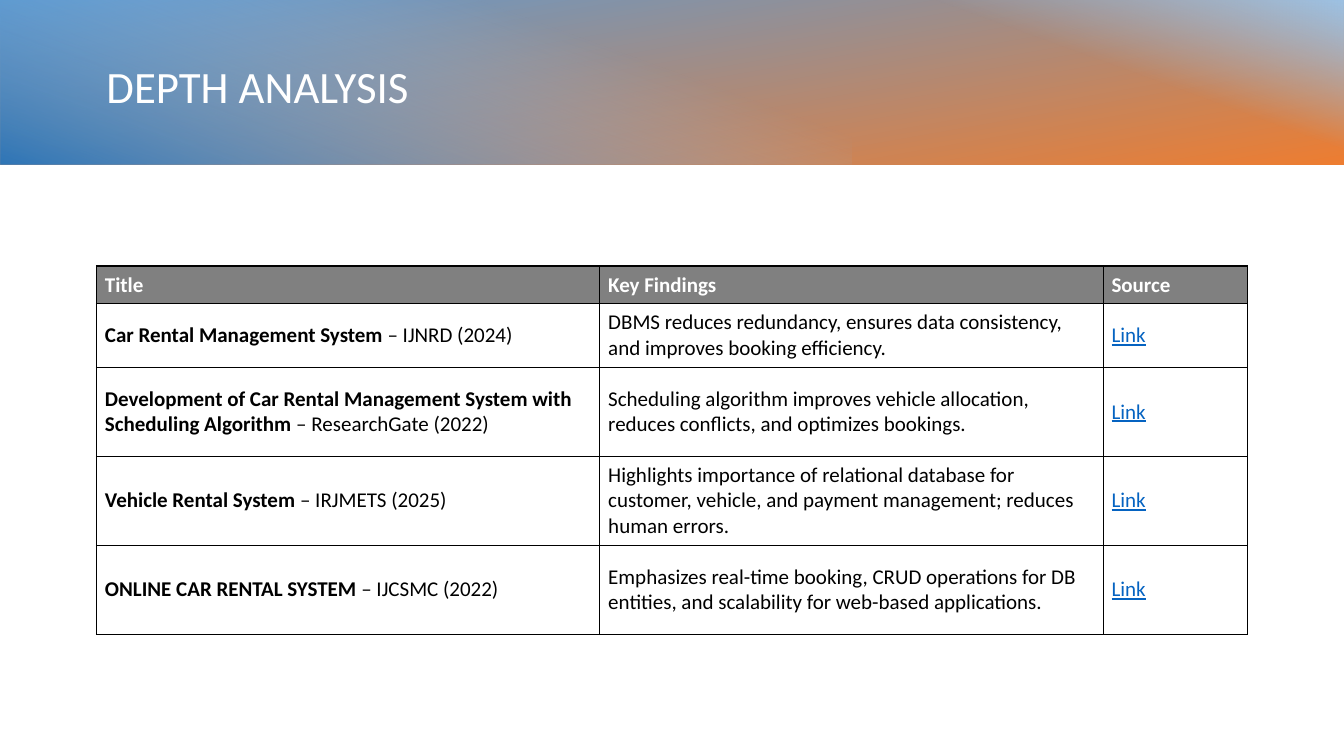
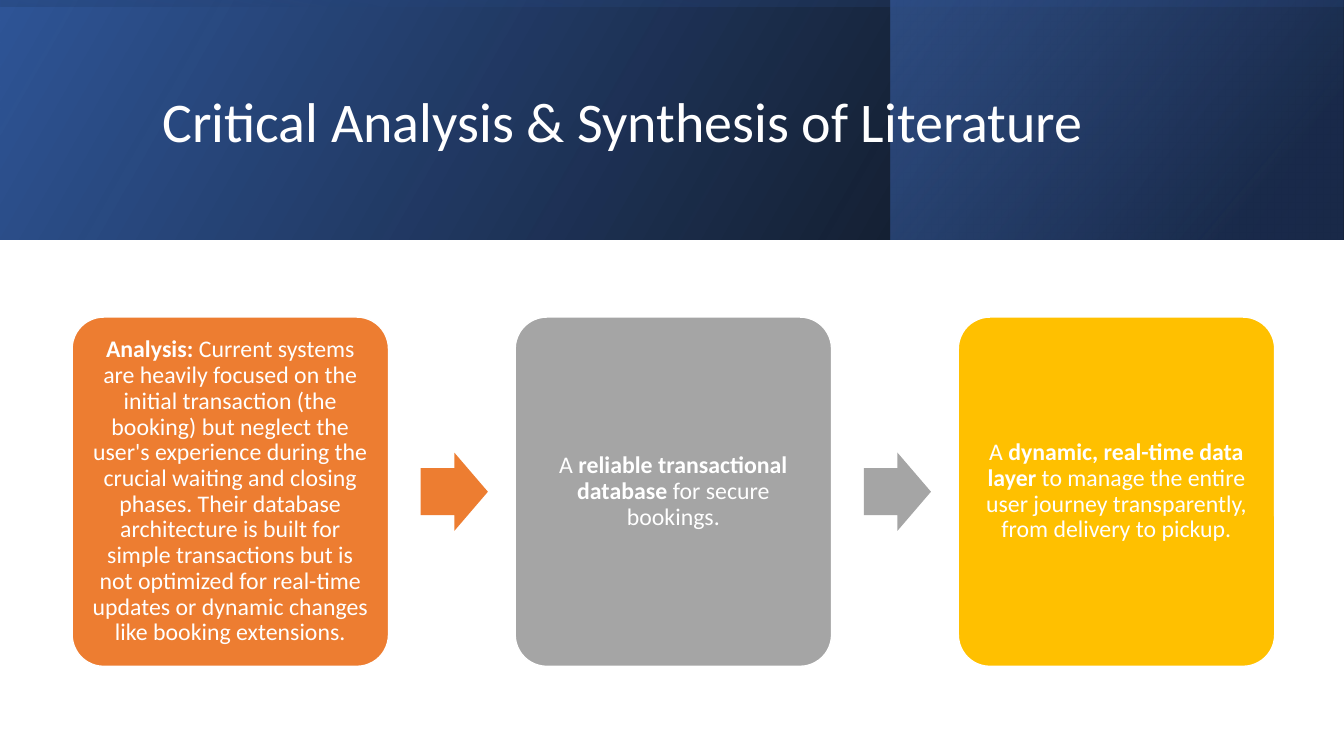
from collections import namedtuple
from dataclasses import dataclass

from lxml import etree
from pptx import Presentation
from pptx.dml.color import RGBColor
from pptx.enum.shapes import MSO_SHAPE
from pptx.enum.text import MSO_ANCHOR, PP_ALIGN
from pptx.oxml.ns import qn
from pptx.util import Pt

RECTANGLE = MSO_SHAPE.RECTANGLE
ROUNDED = MSO_SHAPE.ROUNDED_RECTANGLE
RIGHT_ARROW = MSO_SHAPE.RIGHT_ARROW
MIDDLE = MSO_ANCHOR.MIDDLE
LEFT, CENTER = PP_ALIGN.LEFT, PP_ALIGN.CENTER

Box = namedtuple("Box", "left top width height")
Stop = namedtuple("Stop", "position color alpha", defaults=[100])


@dataclass(frozen=True)
class Theme:
    font: str = "Calibri"
    white: str = "FFFFFF"
    black: str = "000000"
    link: str = "0563C1"
    header: str = "808080"
    blue: str = "5B9BD5"
    light_blue: str = "9DC3E6"
    mid_blue: str = "2E75B6"
    royal: str = "4472C4"
    deep_blue: str = "2F5597"
    navy: str = "203864"
    orange: str = "ED7D31"
    gray: str = "A5A5A5"
    gold: str = "FFC000"
    table_title_size: float = 32
    cards_title_size: float = 40
    table_size: float = 15
    card_size: float = 17


THEME = Theme()
PAGE_WIDTH, PAGE_HEIGHT = 960, 540

FINDINGS_HEADER = ("Title", "Key Findings", "Source")
FINDINGS = [
    ("**Car Rental Management System** – IJNRD (2024)",
     "DBMS reduces redundancy, ensures data consistency, and improves booking efficiency."),
    ("**Development of Car Rental Management System with Scheduling Algorithm**"
     " – ResearchGate (2022)",
     "Scheduling algorithm improves vehicle allocation, reduces conflicts, "
     "and optimizes bookings."),
    ("**Vehicle Rental System** – IRJMETS (2025)",
     "Highlights importance of relational database for customer, vehicle, "
     "and payment management; reduces human errors."),
    ("**ONLINE CAR RENTAL SYSTEM** – IJCSMC (2022)",
     "Emphasizes real-time booking, CRUD operations for DB entities, "
     "and scalability for web-based applications."),
]
CARDS = [
    (THEME.orange,
     "**Analysis:** Current systems are heavily focused on the initial transaction "
     "(the booking) but neglect the user's experience during the crucial waiting and "
     "closing phases. Their database architecture is built for simple transactions but "
     "is not optimized for real-time updates or dynamic changes like booking extensions."),
    (THEME.gray, "A **reliable transactional database** for secure bookings."),
    (THEME.gold,
     "A **dynamic, real-time data layer** to manage the entire user journey "
     "transparently, from delivery to pickup."),
]


def points(box):
    return [Pt(length) for length in box]


def write_text(frame, text, size, color=THEME.white, align=LEFT, spacing=None,
               underline=None):
    """Fill a text frame; parts between ** marks are bold."""
    frame.word_wrap = True
    para = frame.paragraphs[0]
    para.alignment = align
    if spacing:
        para.line_spacing = spacing
    for index, part in enumerate(text.split("**")):
        if not part:
            continue
        span = para.add_run()
        span.text = part
        span.font.name = THEME.font
        span.font.size = Pt(size)
        span.font.bold = index % 2 == 1
        span.font.underline = underline
        span.font.color.rgb = RGBColor.from_string(color)


def add_title(page, box, text, size):
    frame = page.shapes.add_textbox(*points(box)).text_frame
    frame.vertical_anchor = MIDDLE
    write_text(frame, text, size, spacing=0.9)


def add_filled(page, kind, box, color):
    shape = page.shapes.add_shape(kind, *points(box))
    shape.shadow.inherit = False
    shape.fill.solid()
    shape.fill.fore_color.rgb = RGBColor.from_string(color)
    shape.line.fill.background()
    return shape


def add_gradient(page, box, stops, angle, rotation=0, flip=False):
    """Cover the box with a two-stop gradient; a quarter turn swaps its sides."""
    if rotation in (90, 270):
        box = Box(box.left + (box.width - box.height) / 2,
                  box.top + (box.height - box.width) / 2, box.height, box.width)
    shape = add_filled(page, RECTANGLE, box, THEME.white)
    shape.rotation = rotation
    properties = shape._element.spPr
    if flip:
        properties.find(qn("a:xfrm")).set("flipH", "1")
    shape.fill.gradient()
    shape.fill.gradient_angle = 360 - angle
    for target, stop in zip(shape.fill.gradient_stops, stops):
        target.position = stop.position / 100
        target.color.rgb = RGBColor.from_string(stop.color)
    for color, stop in zip(properties.iter(qn("a:srgbClr")), stops):
        if stop.alpha < 100:
            etree.SubElement(color, qn("a:alpha"), val=str(stop.alpha * 1000))


def add_warm_band(page, box):
    add_gradient(page, box, [Stop(0, THEME.blue), Stop(100, THEME.orange)], 170, 270)
    glow_width = 399
    glow = box._replace(left=box.left + box.width - glow_width, width=glow_width)
    add_gradient(page, glow,
                 [Stop(59, THEME.light_blue, 0), Stop(100, THEME.light_blue)], 20, 270)
    add_gradient(page, box._replace(width=608),
                 [Stop(29, THEME.light_blue, 0), Stop(100, THEME.mid_blue)], 20, 90)


def add_dark_band(page, box):
    add_gradient(page, box, [Stop(0, THEME.black, 96), Stop(100, THEME.deep_blue)],
                 330, flip=True)
    panel_left = 636.5
    panel = box._replace(left=box.left + panel_left, width=box.width - panel_left)
    add_gradient(page, panel, [Stop(19, THEME.navy, 68), Stop(100, THEME.royal, 48)],
                 320, flip=True)
    add_gradient(page, box, [Stop(23, THEME.deep_blue, 16), Stop(99, THEME.black, 45)],
                 350, 270, flip=True)


def outline_cell(cell):
    properties = cell._tc.get_or_add_tcPr()
    for index, side in enumerate(("lnL", "lnR", "lnT", "lnB")):
        line = etree.Element(qn(f"a:{side}"), w=str(Pt(1)))
        fill = etree.SubElement(line, qn("a:solidFill"))
        etree.SubElement(fill, qn("a:srgbClr"), val=THEME.black)
        properties.insert(index, line)


def write_cell(cell, text, fill=None, **text_format):
    cell.vertical_anchor = MIDDLE
    cell.margin_left = cell.margin_right = Pt(6)
    cell.margin_top = cell.margin_bottom = Pt(3)
    if fill:
        cell.fill.solid()
        cell.fill.fore_color.rgb = RGBColor.from_string(fill)
    else:
        cell.fill.background()
    outline_cell(cell)
    write_text(cell.text_frame, text, THEME.table_size, **text_format)


def add_findings_table(page, box):
    source_width = 103
    text_width = (box.width - source_width) / 2
    widths = (text_width, text_width, source_width)
    header_height, first_height = 27, 45.5
    other_height = (box.height - header_height - first_height) / (len(FINDINGS) - 1)
    heights = [header_height, first_height] + [other_height] * (len(FINDINGS) - 1)
    table = page.shapes.add_table(len(heights), len(widths), *points(box)).table
    table.first_row = table.horz_banding = False
    for column, width in zip(table.columns, widths):
        column.width = Pt(width)
    for row, height in zip(table.rows, heights):
        row.height = Pt(height)
    for column, heading in enumerate(FINDINGS_HEADER):
        write_cell(table.cell(0, column), f"**{heading}**", fill=THEME.header)
    for row, (title, finding) in enumerate(FINDINGS, start=1):
        write_cell(table.cell(row, 0), title, color=THEME.black)
        write_cell(table.cell(row, 1), finding, color=THEME.black)
        write_cell(table.cell(row, 2), "Link", color=THEME.link, underline=True)


def add_card(page, box, color, text):
    card = add_filled(page, ROUNDED, box, color)
    card.adjustments[0] = 0.1
    card.line.color.rgb = RGBColor.from_string(THEME.white)
    card.line.width = Pt(1)
    frame = card.text_frame
    frame.vertical_anchor = MIDDLE
    frame.margin_left = frame.margin_right = Pt(5)
    frame.margin_top = frame.margin_bottom = Pt(5)
    write_text(frame, text, THEME.card_size, align=CENTER, spacing=0.9)


def add_card_flow(page, box):
    """Place equal cards across the box, with an arrow after each but the last."""
    card_width, arrow_offset, arrow_width, arrow_height = 226, 23, 48, 56
    pitch = (box.width - card_width) / (len(CARDS) - 1)
    for index, (color, text) in enumerate(CARDS):
        card = box._replace(left=box.left + index * pitch, width=card_width)
        add_card(page, card, color, text)
        if index < len(CARDS) - 1:
            arrow_box = Box(card.left + card_width + arrow_offset,
                            box.top + (box.height - arrow_height) / 2,
                            arrow_width, arrow_height)
            arrow = add_filled(page, RIGHT_ARROW, arrow_box, color)
            arrow.adjustments[0] = 0.6
            arrow.adjustments[1] = 0.5


def build_depth_page(page):
    add_warm_band(page, Box(0, -2, PAGE_WIDTH, 119.5))
    add_title(page, Box(69, 24, 825, 79), "DEPTH ANALYSIS", THEME.table_title_size)
    add_findings_table(page, Box(69, 190, 822, 263))


def build_synthesis_page(page):
    add_dark_band(page, Box(0, 0, PAGE_WIDTH, 171))
    add_title(page, Box(109, 27, 765, 124), "Critical Analysis & Synthesis of Literature",
              THEME.cards_title_size)
    add_card_flow(page, Box(51.5, 226.5, 859, 249.5))


def main():
    deck = Presentation()
    deck.slide_width, deck.slide_height = Pt(PAGE_WIDTH), Pt(PAGE_HEIGHT)
    blank = deck.slide_layouts[6]
    for build_page in (build_depth_page, build_synthesis_page):
        build_page(deck.slides.add_slide(blank))
    deck.save("out.pptx")


if __name__ == "__main__":
    main()
